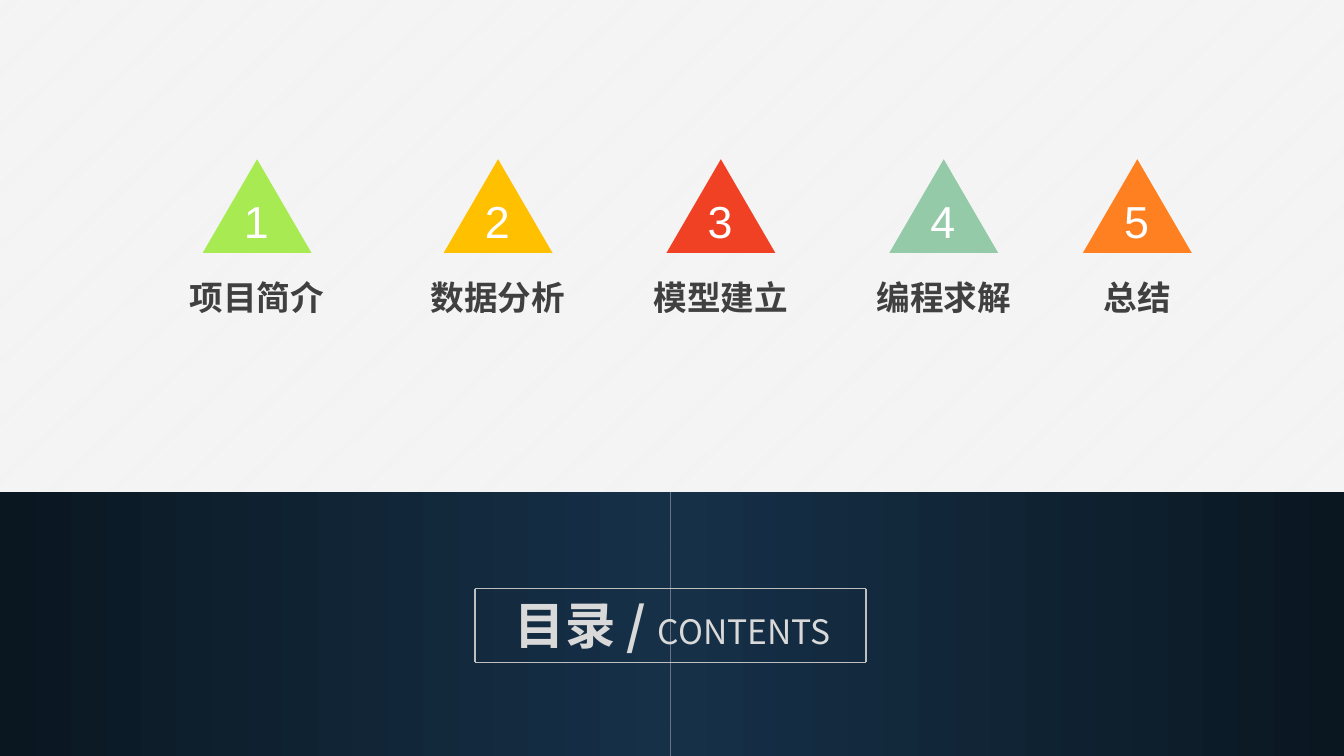
from lxml import etree
from pptx import Presentation
from pptx import util as u
from pptx.dml.color import RGBColor
from pptx.enum import dml, shapes, text
from pptx.oxml import ns

COLORS = {
    "white": "FFFFFF", "paper": "F2F2F2", "navy": "163048", "night": "0A1721",
    "title": "D9D9D9", "frame": "BFBFBF", "label": "404040",
    "green": "A7EA52", "yellow": "FFC000", "red": "F14124",
    "sage": "94CAA8", "orange": "FF8021",
}
CJK_FONT = "Noto Sans CJK SC"


def rgb(name):
    return RGBColor.from_string(COLORS[name])


def add_text(parent, box, runs, alignment, wrap):
    """Add a one-line text box; each run is a (wording, color, format) triple."""
    shape = parent.shapes.add_textbox(*map(u.Inches, box))
    frame = shape.text_frame
    frame.word_wrap = wrap
    frame.auto_size = text.MSO_AUTO_SIZE.SHAPE_TO_FIT_TEXT
    paragraph = frame.paragraphs[0]
    paragraph.alignment = alignment
    for wording, color, font_format in runs:
        run = paragraph.add_run()
        run.text = wording
        for name, value in font_format.items():
            setattr(run.font, name, value)
        run.font.color.rgb = rgb(color)
        east_asian = etree.SubElement(run.font._element, ns.qn("a:ea"))
        east_asian.set("typeface", font_format["name"])


presentation = Presentation()
presentation.slide_width = u.Inches(13.33)
presentation.slide_height = u.Inches(7.5)
slide = presentation.slides.add_slide(presentation.slide_layouts[6])

# Hatched background
background = slide.background.fill
background.patterned()
background.pattern = dml.MSO_PATTERN.LIGHT_UPWARD_DIAGONAL
background.fore_color.rgb = rgb("white")
background.back_color.rgb = rgb("paper")

# Dark band: two halves, fading from the middle to the edges
for left, width, rotation in [(0, 6.65, 180), (6.65, 6.69, 0)]:
    band = slide.shapes.add_shape(
        shapes.MSO_SHAPE.RECTANGLE,
        u.Inches(left), u.Inches(4.88), u.Inches(width), u.Inches(2.62))
    band.rotation = rotation
    band.shadow.inherit = False
    band.line.fill.background()
    band.fill.gradient()
    band.fill.gradient_angle = 0
    for stop, color in zip(band.fill.gradient_stops, ["navy", "night"]):
        stop.color.rgb = rgb(color)

# Title
title_format = {"name": CJK_FONT, "size": u.Pt(36), "bold": True}
subtitle_format = {"name": CJK_FONT, "size": u.Pt(24), "bold": False}
add_text(slide, (4.86, 5.84, 3.62, 0.71),
         [("目录 / ", "title", title_format), ("CONTENTS", "title", subtitle_format)],
         text.PP_ALIGN.CENTER, True)

# Frame around the title, side by side
corners = [(4.71, 5.84), (8.59, 5.84), (8.59, 6.57), (4.71, 6.57)]
for start, end in zip(corners, corners[1:] + corners[:1]):
    side = slide.shapes.add_connector(
        shapes.MSO_CONNECTOR.STRAIGHT, *map(u.Inches, start + end))
    side.line.color.rgb = rgb("frame")
    side.line.width = u.Pt(1)
    etree.SubElement(side._element.spPr, ns.qn("a:effectLst"))

# Sections: numbered triangle above a label, centred on the same axis
sections = [
    ("项目简介", "green", 2.55), ("数据分析", "yellow", 4.94),
    ("模型建立", "red", 7.15), ("编程求解", "sage", 9.36), ("总结", "orange", 11.28),
]
label_format = {"name": CJK_FONT, "size": u.Pt(24), "bold": True}
number_format = {"name": "Arial", "size": u.Pt(32)}
for number, (label, color, center) in enumerate(sections, start=1):
    group = slide.shapes.add_group_shape()
    label_width = 0.2 + 0.333 * len(label)
    add_text(group, (center - label_width / 2, 2.7, label_width, 0.5),
             [(label, "label", label_format)], text.PP_ALIGN.JUSTIFY, False)
    triangle = group.shapes.add_shape(
        shapes.MSO_SHAPE.ISOSCELES_TRIANGLE,
        u.Inches(center - 0.54), u.Inches(1.58), u.Inches(1.08), u.Inches(0.93))
    triangle.shadow.inherit = False
    triangle.line.fill.background()
    triangle.fill.solid()
    triangle.fill.fore_color.rgb = rgb(color)
    add_text(group, (center - 0.23, 1.87, 0.45, 0.64),
             [(str(number), "white", number_format)], text.PP_ALIGN.JUSTIFY, False)

presentation.save("out.pptx")
